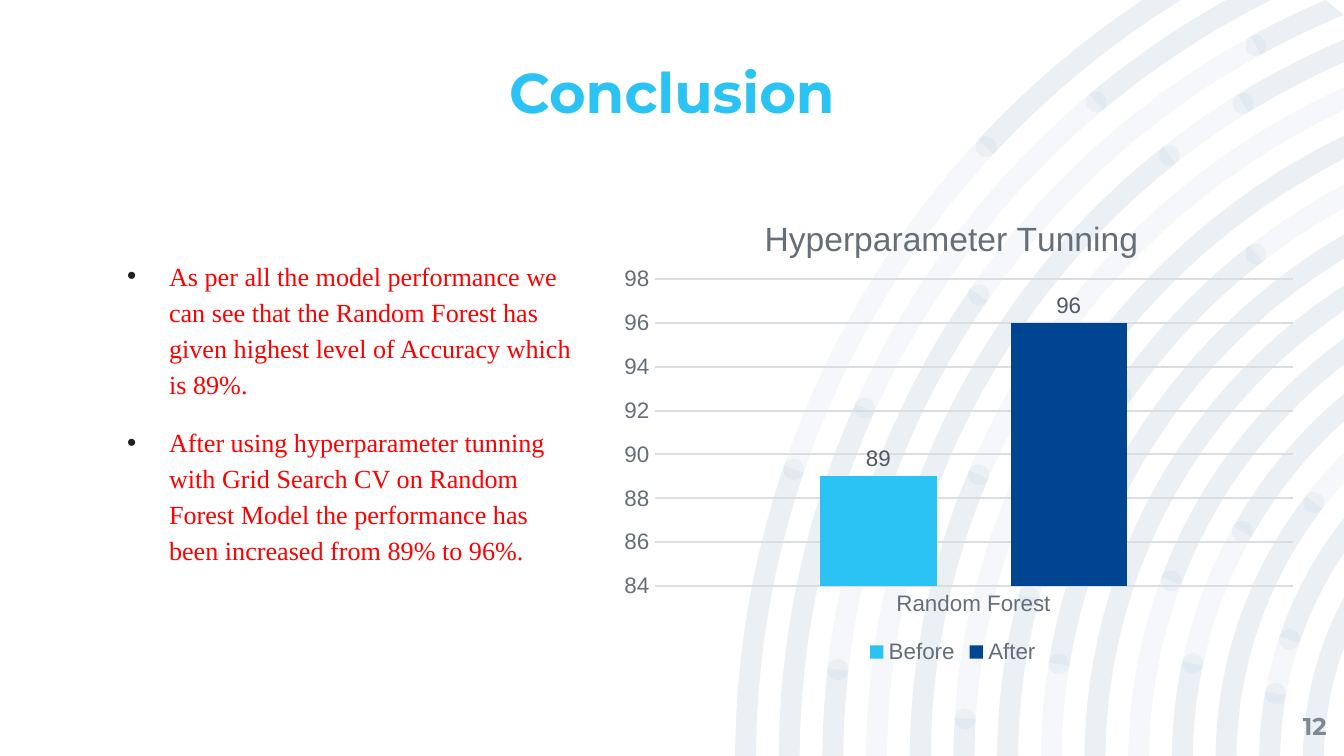
from math import acos, asin, cos, degrees, radians, sin

from lxml import etree
from pptx import Presentation
from pptx.chart.data import CategoryChartData
from pptx.dml.color import RGBColor
from pptx.enum.chart import XL_CHART_TYPE as ChartType, XL_LABEL_POSITION as LabelPosition
from pptx.enum.chart import XL_LEGEND_POSITION as LegendPosition, XL_TICK_MARK as TickMark
from pptx.enum.text import MSO_ANCHOR as Anchor, PP_ALIGN as Align
from pptx.oxml.ns import qn
from pptx.util import Pt

COLORS = {
    "sky": "2AC3F3", "navy": "004591", "red": "FF0000", "bullet": "1E2124",
    "number": "7C8894", "axis": "656F79", "label": "505961", "grid": "DBDEE1",
}
RGB = {name: RGBColor.from_string(value) for name, value in COLORS.items()}


def style_font(font, name, size, color, bold=False):
    font.name, font.size, font.bold = name, Pt(size), bold
    font.color.rgb = RGB[color]


def set_layout(parent, index, **values):
    for old in parent.findall(qn("c:layout")):
        parent.remove(old)
    layout = etree.Element(qn("c:layout"))
    manual = etree.SubElement(layout, qn("c:manualLayout"))
    if "w" in values:
        etree.SubElement(manual, qn("c:layoutTarget"), val="inner")
    for mode in ("xMode", "yMode"):
        etree.SubElement(manual, qn("c:" + mode), val="edge")
    for key, value in values.items():
        etree.SubElement(manual, qn("c:" + key), val=str(value))
    parent.insert(index, layout)


deck = Presentation()
WIDTH, HEIGHT = 720, 405
deck.slide_width, deck.slide_height = Pt(WIDTH), Pt(HEIGHT)
page = deck.slides.add_slide(deck.slide_layouts[5])

CENTER_X, CENTER_Y = 883.4, 407.5
OUTER_RADIUS, RING_STEP, BAND = 489.6, 23.4, 11.2
EDGE = 90
accents = [
    [(0, 18.8), (42.8, EDGE)],
    [(0, 24.2), (50, EDGE)],
    [(0, 6.4), (15.4, 34.8), (61.2, EDGE)],
    [(19.6, 51.6), (58.3, EDGE)],
    [(0, 23.1)],
    [(0, 3.5), (33.8, EDGE)],
    [(0, 14.8), (34.6, 52.2)],
    [(9.3, EDGE)],
    [(0, EDGE)],
    [(20.6, EDGE)],
    [(0, 12), (29.4, EDGE)],
    [(0, 37.6)],
    [(0, 10.2), (18.6, EDGE)],
    [(0, EDGE)],
]
rings = [[(0, EDGE)] for ring in accents]
layers = []

for layer in (rings, accents):
    pieces = []
    for ring, spans in enumerate(layer):
        outer = OUTER_RADIUS - ring * RING_STEP
        for start, end in spans:
            points, arcs = [], []
            for radius, order in ((outer, 1), (outer - BAND, -1)):
                first = max(radians(start), asin((CENTER_Y - HEIGHT) / radius))
                last = min(radians(end), acos((CENTER_X - WIDTH) / radius),
                           asin(min(1, CENTER_Y / radius)))
                turn = (first, last)[::order]
                points += [(CENTER_X - radius * cos(a), CENTER_Y - radius * sin(a)) for a in turn]
                arcs.append((radius, 180 + degrees(turn[0]), degrees(turn[1] - turn[0])))
            pieces.append((points, [arcs[0], None, arcs[1]]))
    layers.append(pieces)

dots = []
for ring, spans in enumerate(accents):
    radius = OUTER_RADIUS - ring * RING_STEP - BAND / 2
    for angle in (a for span in spans for a in span if a not in (0, EDGE)):
        x = CENTER_X - radius * cos(radians(angle))
        y = CENTER_Y - radius * sin(radians(angle))
        left, right = (x - BAND / 2, y), (x + BAND / 2, y)
        dots.append(([left, right, left], [(BAND / 2, 180, 180), (BAND / 2, 0, 180)]))
layers.append(dots)

for pieces in layers:
    builder = None
    for points, arcs in pieces:
        corners = [(Pt(x), Pt(y)) for x, y in points]
        if builder is None:
            builder = page.shapes.build_freeform(*corners[0])
        else:
            builder.move_to(*corners[0])
        builder.add_line_segments(corners[1:], close=True)
    shape = builder.convert_to_shape()
    segments = list(shape._element.iter(qn("a:lnTo")))
    for segment, arc in zip(segments, (arc for piece in pieces for arc in piece[1])):
        if arc:
            radius, start, sweep = arc
            curve = etree.Element(qn("a:arcTo"), wR=str(Pt(radius)), hR=str(Pt(radius)),
                                  stAng=str(round(start * 60000)),
                                  swAng=str(round(sweep * 60000)))
            segment.getparent().replace(segment, curve)
    shape.shadow.inherit = False
    shape.line.fill.background()
    shape.fill.solid()
    shape.fill.fore_color.rgb = RGB["navy"]
    tint = shape._element.spPr.find(qn("a:solidFill"))[0]
    etree.SubElement(tint, qn("a:alpha"), val="4000")

title = page.shapes.title
title.left, title.top, title.width, title.height = Pt(67.5), Pt(36.5), Pt(585), Pt(31)
title.text_frame.text = "Conclusion"
number = page.shapes.add_textbox(Pt(667.5), Pt(373.5), Pt(43.2), Pt(31))
number.text_frame.text = "12"
for box, anchor, align, size, color in (
    (title, Anchor.BOTTOM, Align.CENTER, 30, "sky"),
    (number, Anchor.MIDDLE, Align.RIGHT, 13, "number"),
):
    frame = box.text_frame
    frame.word_wrap = True
    frame.vertical_anchor = anchor
    frame.margin_left = frame.margin_right = frame.margin_top = frame.margin_bottom = 0
    para = frame.paragraphs[0]
    para.alignment = align
    style_font(para.font, "Montserrat", size, color, bold=True)
title.text_frame.paragraphs[0].line_spacing = 0.9

findings = [
    "As per all the model performance we can see that the Random Forest has given "
    "highest level of Accuracy which is 89%.",
    "After using hyperparameter tunning with Grid Search CV on Random Forest Model "
    "the performance has been increased from 89% to 96%.",
]
box = page.shapes.add_textbox(Pt(49), Pt(133.2), Pt(269.3), Pt(174.2))
frame = box.text_frame
frame.word_wrap = True
frame.text = "\n".join(findings)
for para in frame.paragraphs:
    para.line_spacing = 1.15
    para.space_before = Pt(12)
    style_font(para.font, "Times New Roman", 14, "red")
    properties = para._p.get_or_add_pPr()
    properties.set("marL", str(Pt(34.5)))
    properties.set("indent", str(Pt(-22.5)))
    bullet_color = etree.Element(qn("a:buClr"))
    etree.SubElement(bullet_color, qn("a:srgbClr"), val=COLORS["bullet"])
    bullet_font = etree.Element(qn("a:buFont"), typeface="Arial")
    bullet = etree.Element(qn("a:buChar"), char="•")
    for item in (bullet_color, bullet_font, bullet):
        properties.find(qn("a:defRPr")).addprevious(item)

data = CategoryChartData()
data.categories = ["Random Forest"]
data.add_series("Before", [89])
data.add_series("After", [96])
chart = page.shapes.add_chart(ChartType.COLUMN_CLUSTERED, Pt(324.7), Pt(97.2),
                              Pt(371.5), Pt(261.4), data).chart
style_font(chart.font, "Arial", 10, "bullet")
chart.has_title = True
heading = chart.chart_title.text_frame
heading.text = "Hyperparameter Tunning"
style_font(heading.paragraphs[0].font, "Arial", 18, "axis")
set_layout(chart.chart_title._element, 1, x=0.22, y=0.06)
set_layout(chart._chartSpace.chart.plotArea, 0, x=0.07, y=0.2, w=0.92, h=0.63)
chart.has_legend = True
chart.legend.position = LegendPosition.BOTTOM
chart.legend.include_in_layout = False
style_font(chart.legend.font, "Arial", 12, "axis")

for axis in (chart.category_axis, chart.value_axis):
    axis.major_tick_mark = axis.minor_tick_mark = TickMark.NONE
    style_font(axis.tick_labels.font, "Arial", 12, "axis")
chart.category_axis.format.line.color.rgb = RGB["grid"]
chart.category_axis.format.line.width = Pt(0.75)
values = chart.value_axis
values.minimum_scale, values.maximum_scale, values.major_unit = 84, 98, 2
values.format.line.fill.background()
values.major_gridlines.format.line.color.rgb = RGB["grid"]
values.major_gridlines.format.line.width = Pt(1)

plot = chart.plots[0]
plot.gap_width, plot.overlap, plot.vary_by_categories = 286, -64, False
for series, color in zip(plot.series, ("sky", "navy")):
    series.format.fill.solid()
    series.format.fill.fore_color.rgb = RGB[color]
    labels = series.data_labels
    labels.show_value = True
    labels.position = LabelPosition.OUTSIDE_END
    style_font(labels.font, "Arial", 12, "label")

deck.save("out.pptx")
